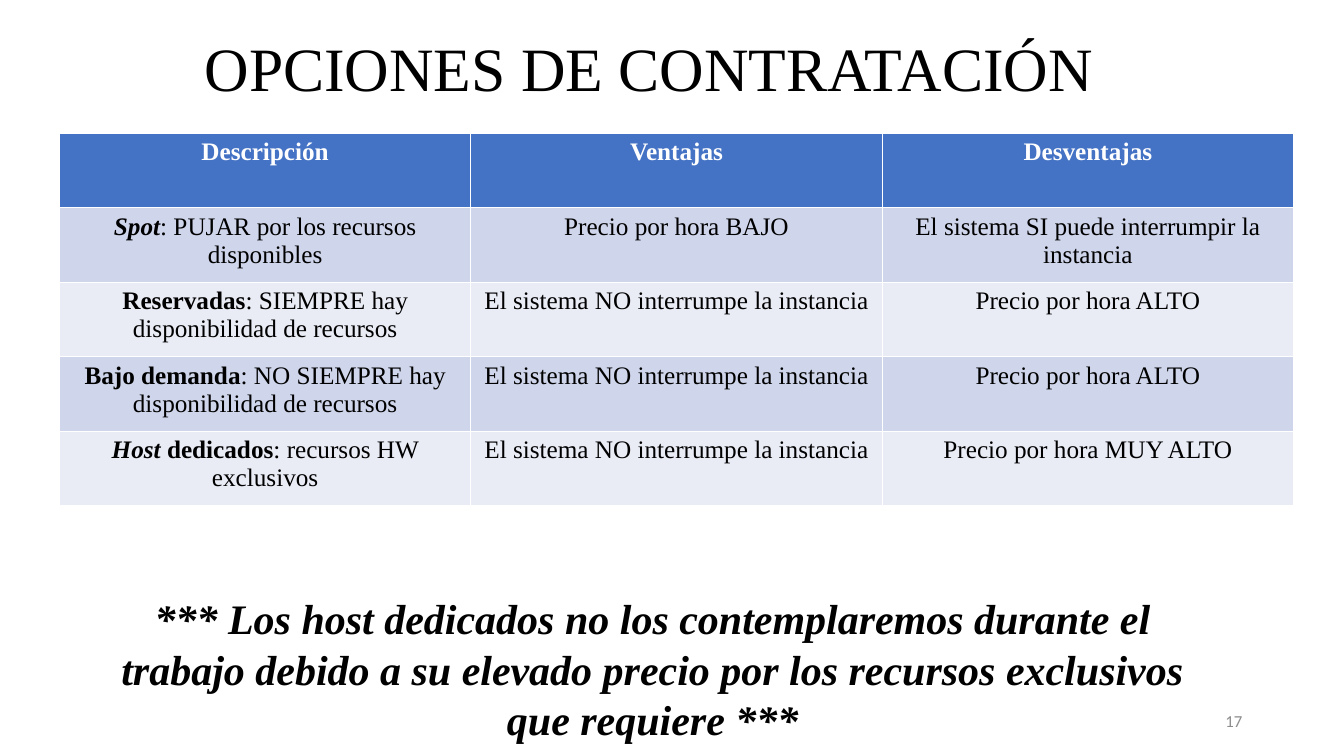
from pptx import Presentation
from pptx.dml.color import RGBColor
from pptx.enum.text import MSO_ANCHOR, PP_ALIGN
from pptx.util import Inches, Pt

CENTER, RIGHT = PP_ALIGN.CENTER, PP_ALIGN.RIGHT
TOP, MIDDLE, BOTTOM = MSO_ANCHOR.TOP, MSO_ANCHOR.MIDDLE, MSO_ANCHOR.BOTTOM

BLACK = RGBColor(0x00, 0x00, 0x00)
WHITE = RGBColor(0xFF, 0xFF, 0xFF)
GRAY = RGBColor(0x8C, 0x8C, 0x8C)
HEADER_BLUE = RGBColor(0x44, 0x72, 0xC4)
BAND_COLORS = (RGBColor(0xE9, 0xEB, 0xF5), RGBColor(0xCF, 0xD5, 0xEA))

NO_INTERRUPTION = "El sistema NO interrumpe la instancia"
HEADINGS = ("Descripción", "Ventajas", "Desventajas")
# Each option: italic bold term, bold term, description, advantage, drawback
OPTIONS = (
    ("Spot", "", ": PUJAR por los recursos disponibles",
     "Precio por hora BAJO", "El sistema SI puede interrumpir la instancia"),
    ("", "Reservadas", ": SIEMPRE hay disponibilidad de recursos",
     NO_INTERRUPTION, "Precio por hora ALTO"),
    ("", "Bajo demanda", ": NO SIEMPRE hay disponibilidad de recursos",
     NO_INTERRUPTION, "Precio por hora ALTO"),
    ("Host", " dedicados", ": recursos HW exclusivos",
     NO_INTERRUPTION, "Precio por hora MUY ALTO"),
)
NOTE = ("*** Los host dedicados no los contemplaremos durante el trabajo debido a "
        "su elevado precio por los recursos exclusivos que requiere ***")


class SlideBuilder:
    serif = "Times New Roman"
    sans = "Calibri"
    cell_size = 18

    def __init__(self, slide):
        self.slide = slide

    def style_run(self, run, size, color=BLACK, bold=False, italic=False, font=serif):
        run.font.name = font
        run.font.size = Pt(size)
        run.font.color.rgb = color
        run.font.bold = bold
        run.font.italic = italic

    def text(self, content, left, top, width, height, size, align=CENTER,
             anchor=TOP, line_spacing=None, **run_style):
        box = self.slide.shapes.add_textbox(
            Inches(left), Inches(top), Inches(width), Inches(height))
        frame = box.text_frame
        frame.word_wrap = True
        frame.vertical_anchor = anchor
        frame.text = content
        paragraph = frame.paragraphs[0]
        paragraph.alignment = align
        paragraph.line_spacing = line_spacing
        self.style_run(paragraph.runs[0], size, **run_style)

    def fill_cell(self, cell, fill, *pieces):
        """Write (text, run style) pieces into a cell, skipping empty texts."""
        cell.fill.solid()
        cell.fill.fore_color.rgb = fill
        paragraph = cell.text_frame.paragraphs[0]
        paragraph.alignment = CENTER
        for content, run_style in pieces:
            if content:
                run = paragraph.add_run()
                run.text = content
                self.style_run(run, self.cell_size, **run_style)

    def options_table(self, left, top, width, height):
        table = self.slide.shapes.add_table(
            len(OPTIONS) + 1, len(HEADINGS),
            Inches(left), Inches(top), Inches(width), Inches(height)).table
        for column, heading in enumerate(HEADINGS):
            self.fill_cell(table.cell(0, column), HEADER_BLUE,
                           (heading, {"color": WHITE, "bold": True}))
        for row, option in enumerate(OPTIONS, start=1):
            italic_term, term, description, advantage, drawback = option
            band = BAND_COLORS[row % 2]
            self.fill_cell(table.cell(row, 0), band,
                           (italic_term, {"bold": True, "italic": True}),
                           (term, {"bold": True}),
                           (description, {}))
            self.fill_cell(table.cell(row, 1), band, (advantage, {}))
            self.fill_cell(table.cell(row, 2), band, (drawback, {}))


def main():
    presentation = Presentation()
    presentation.slide_width = Inches(13.33)
    presentation.slide_height = Inches(7.5)
    blank_layout = presentation.slide_layouts[6]
    builder = SlideBuilder(presentation.slides.add_slide(blank_layout))

    builder.text("17", 9.42, 6.95, 3, 0.4, 12, align=RIGHT, anchor=MIDDLE,
                 color=GRAY, font=builder.sans)
    builder.text("OPCIONES DE CONTRATACIÓN", 0.69, 0.32, 11.5, 0.77, 44,
                 anchor=BOTTOM, line_spacing=0.9)
    builder.options_table(0.59, 1.32, 12.24, 3.7)
    builder.text(NOTE, 0.92, 5.83, 11.11, 1.62, 30, bold=True, italic=True)

    presentation.save("out.pptx")


if __name__ == "__main__":
    main()
